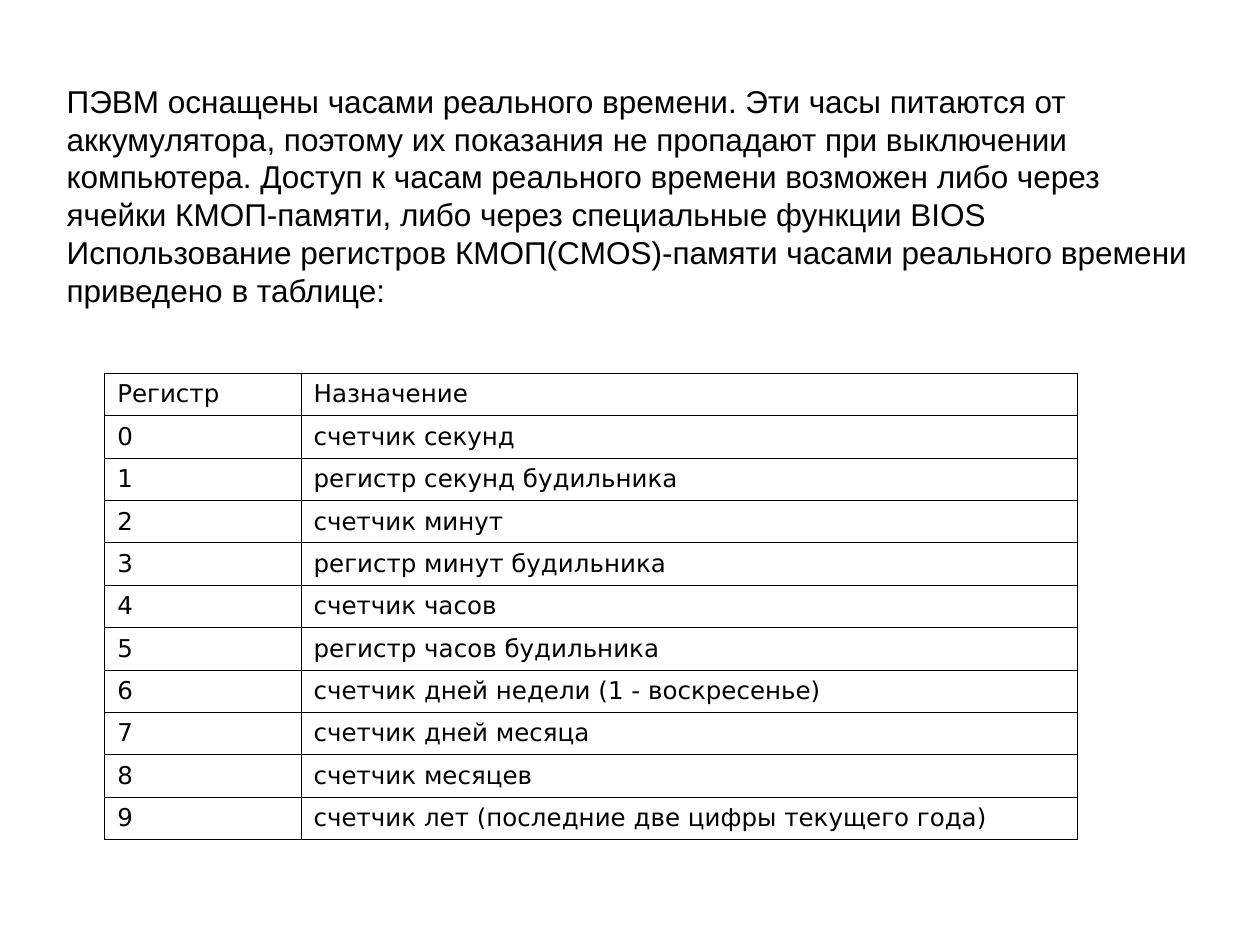
from dataclasses import dataclass

from lxml import etree
from pptx import Presentation
from pptx.dml.color import RGBColor
from pptx.enum.text import MSO_ANCHOR, MSO_AUTO_SIZE
from pptx.oxml.ns import qn
from pptx.util import Pt

MIDDLE = MSO_ANCHOR.MIDDLE
GROW = MSO_AUTO_SIZE.SHAPE_TO_FIT_TEXT
BLANK = 6


@dataclass(frozen=True)
class Theme:
    ink: str = "000000"
    prose: str = "Arial"
    grid: str = "DejaVu Sans"
    large: float = 18
    small: float = 14
    rule: float = 0.34


THEME = Theme()

INTRO = [
    "ПЭВМ оснащены часами реального времени. Эти часы питаются от "
    "аккумулятора, поэтому их показания не пропадают при выключении "
    "компьютера. Доступ к часам реального времени возможен либо через "
    "ячейки КМОП-памяти, либо через специальные функции BIOS",
    "Использование регистров КМОП(CMOS)-памяти часами реального времени "
    "приведено в таблице:",
]

HEAD = ("Регистр", "Назначение")
USES = [
    "счетчик секунд",
    "регистр секунд будильника",
    "счетчик минут",
    "регистр минут будильника",
    "счетчик часов",
    "регистр часов будильника",
    "счетчик дней недели (1 - воскресенье)",
    "счетчик дней месяца",
    "счетчик месяцев",
    "счетчик лет (последние две цифры текущего года)",
]


def write(para, text, *, font, size, color=THEME.ink):
    run = para.add_run()
    run.text = text
    run.font.name = font
    run.font.size = Pt(size)
    run.font.color.rgb = RGBColor.from_string(color)


def add_prose(slide, lines, left, top, width, height):
    box = slide.shapes.add_textbox(Pt(left), Pt(top), Pt(width), Pt(height))
    frame = box.text_frame
    frame.word_wrap = True
    frame.auto_size = GROW
    for i, line in enumerate(lines):
        para = frame.add_paragraph() if i else frame.paragraphs[0]
        write(para, line, font=THEME.prose, size=THEME.large)


def rule_cell(cell):
    props = cell._tc.get_or_add_tcPr()
    # Borders come before the fill in the cell properties
    for i, side in enumerate(("a:lnL", "a:lnR", "a:lnT", "a:lnB")):
        line = etree.Element(qn(side), w=str(int(Pt(THEME.rule))))
        fill = etree.SubElement(line, qn("a:solidFill"))
        etree.SubElement(fill, qn("a:srgbClr"), val=THEME.ink)
        props.insert(i, line)


def add_grid(slide, rows, left, top, widths, step):
    frame = slide.shapes.add_table(
        len(rows), len(widths), Pt(left), Pt(top),
        Pt(sum(widths)), Pt(step * len(rows)))
    table = frame.table
    table.first_row = False
    table.horz_banding = False
    for col, width in zip(table.columns, widths):
        col.width = Pt(width)
    for row, texts in zip(table.rows, rows):
        row.height = Pt(step)
        for cell, text in zip(row.cells, texts):
            cell.fill.background()
            cell.vertical_anchor = MIDDLE
            rule_cell(cell)
            write(cell.text_frame.paragraphs[0], text,
                  font=THEME.grid, size=THEME.small)


def main():
    deck = Presentation()
    deck.slide_width, deck.slide_height = Pt(720), Pt(540)
    slide = deck.slides.add_slide(deck.slide_layouts[BLANK])

    # Introduction
    add_prose(slide, INTRO, 31, 43.2, 658, 136.8)

    # Clock registers, numbered from zero
    rows = [HEAD] + [(str(i), use) for i, use in enumerate(USES)]
    add_grid(slide, rows, 59.8, 213.3, (112.2, 443.4), 24.22)

    deck.save("out.pptx")


if __name__ == "__main__":
    main()
